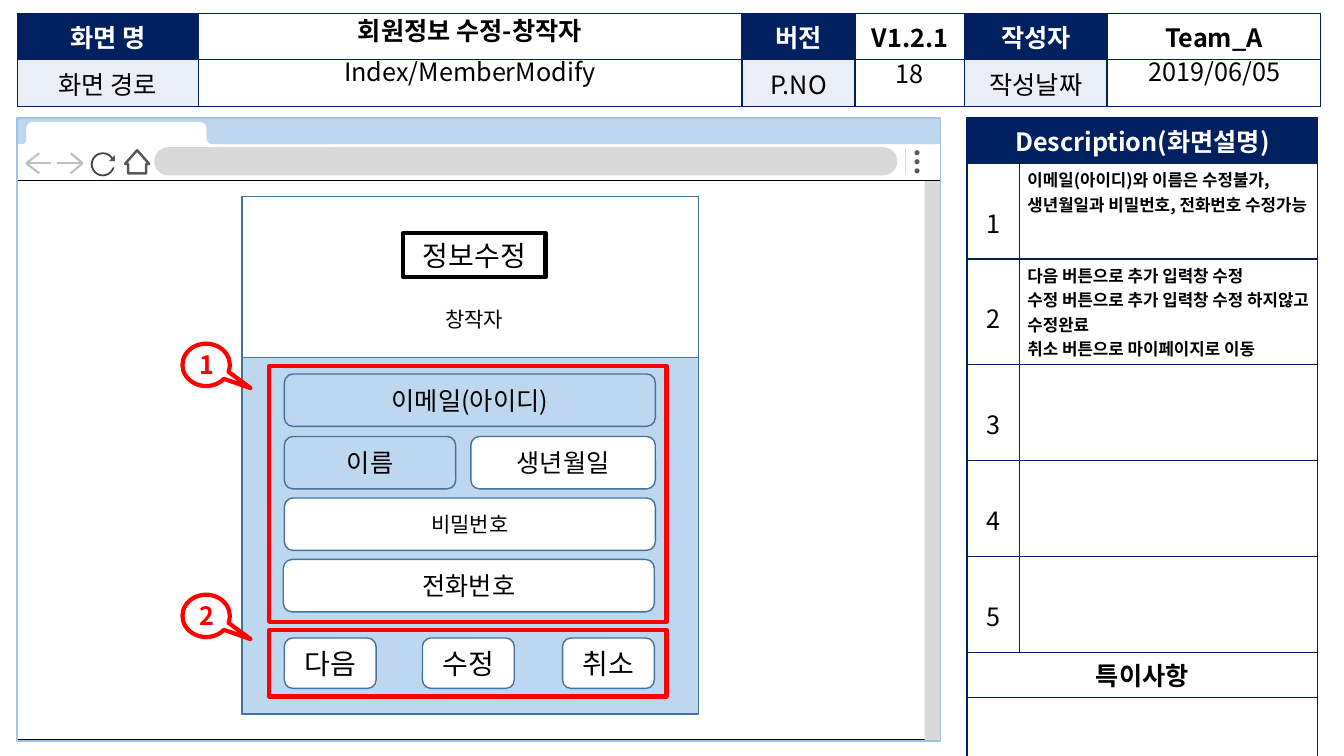
"""Builds a screen-design slide for the creator's member information edit page."""
import lxml.etree
import pptx
import pptx.dml.color
import pptx.enum.shapes
import pptx.enum.text
import pptx.oxml.ns
import pptx.util

Inches = pptx.util.Inches
Pt = pptx.util.Pt
Kind = pptx.enum.shapes.MSO_SHAPE
Anchor = pptx.enum.text.MSO_ANCHOR
Align = pptx.enum.text.PP_ALIGN
qn = pptx.oxml.ns.qn
FONT = "Noto Sans CJK KR"
NAVY, SKY, STEEL, RED = "002060", "BDD7EE", "43739E", "FF0000"
WHITE, BLACK, GREY, DARK = "FFFFFF", "000000", "D9D9D9", "595959"


def paint(fill, color):
    if color is None:
        fill.background()
    else:
        fill.solid()
        fill.fore_color.rgb = pptx.dml.color.RGBColor.from_string(color)


def write(frame, text, size=18, color=BLACK, bold=False, align=Align.CENTER, spacing=None):
    frame.word_wrap = True
    for index, sentence in enumerate(text.split("\n")):
        paragraph = frame.add_paragraph() if index else frame.paragraphs[0]
        paragraph.alignment = align
        paragraph.line_spacing = spacing
        run = paragraph.add_run()
        run.text = sentence
        run.font.size, run.font.bold, run.font.name = Pt(size), bold, FONT
        paint(run.font.fill, color)
        lxml.etree.SubElement(run.font._element, qn("a:ea")).set("typeface", FONT)


deck = pptx.Presentation()
deck.slide_width, deck.slide_height = Inches(13.33), Inches(7.5)
slide = deck.slides.add_slide(deck.slide_layouts[6])
shapes = slide.shapes

browser = [
    (Kind.RECTANGLE, (0.16, 1.78, 9.16, 5.56), WHITE, BLACK, 0.5, []),
    (Kind.RECTANGLE, (9.17, 1.79, 0.16, 5.55), GREY, None, 0, []),
    (Kind.RECTANGLE, (0.17, 1.42, 9.16, 0.37), WHITE, BLACK, 0.5, []),
    (Kind.ROUNDED_RECTANGLE, (1.53, 1.46, 7.37, 0.28), GREY, None, 0, [0.5]),
    (Kind.RECTANGLE, (0.17, 1.17, 9.16, 0.26), SKY, None, 0, []),
    (Kind.OVAL, (0.91, 1.52, 0.22, 0.22), None, "404040", 1.25, []),
    (Kind.RECTANGLE, (1.09, 1.58, 0.08, 0.08), WHITE, None, 0, []),
    (Kind.ISOSCELES_TRIANGLE, (1.08, 1.54, 0.06, 0.06), DARK, None, 0, [1]),
    (Kind.DOWN_ARROW, (1.24, 1.49, 0.24, 0.23), WHITE, DARK, 1.75, [0.75, 0.59]),
    (Kind.ROUNDED_RECTANGLE, (0.26, 1.21, 1.79, 0.23), WHITE, None, 0, [0.28]),
    (Kind.ROUNDED_RECTANGLE, (1.88, 1.3, 0.34, 0.15), WHITE, None, 0, [0.17]),
    (Kind.ROUNDED_RECTANGLE, (2.05, 1.23, 1.27, 0.2), SKY, None, 0, [0.28]),
    (Kind.ROUNDED_RECTANGLE, (0.21, 1.3, 0.13, 0.15), WHITE, None, 0, [0.17]),
    (Kind.ROUNDED_RECTANGLE, (0.17, 1.23, 0.09, 0.2), SKY, None, 0, [0.46]),
    (Kind.RECTANGLE, (0.17, 1.17, 9.16, 6.18), None, "9DC3E6", 1, []),
]
for dot in range(3):
    browser.append((Kind.OVAL, (9.07, 1.49 + 0.09 * dot, 0.05, 0.05), DARK, None, 0, []))

form = [
    (Kind.RECTANGLE, (2.4, 1.95, 4.53, 5.14), None, STEEL, 1, []),
    (Kind.RECTANGLE, (2.4, 3.55, 4.53, 3.53), SKY, STEEL, 1, []),
    (Kind.RECTANGLE, (4, 2.31, 1.41, 0.44), None, BLACK, 3, [], "정보수정", 20),
]
fields = [
    ("이메일(아이디)", 2.82, 3.71, 3.68, None, 18),
    ("이름", 2.82, 4.33, 1.7, None, 18),
    ("생년월일", 4.67, 4.33, 1.83, WHITE, 18),
    ("비밀번호", 2.82, 4.94, 3.68, WHITE, 15),
    ("전화번호", 2.81, 5.55, 3.68, WHITE, 18),
]
for label, left, top, width, fill, size in fields:
    form.append((Kind.ROUNDED_RECTANGLE, (left, top, width, 0.52), fill, STEEL, 1, [], label, size))
for label, left in (("다음", 2.82), ("수정", 4.19), ("취소", 5.58)):
    form.append((Kind.ROUNDED_RECTANGLE, (left, 6.33, 0.91, 0.5), WHITE, STEEL, 1, [], label, 20))
for number, frame_top, frame_height, callout_top in (("1", 3.63, 2.54, 3.41), ("2", 6.25, 0.66, 5.9)):
    form.append((Kind.RECTANGLE, (2.67, frame_top, 3.94, frame_height), None, RED, 3, []))
    form.append((Kind.OVAL_CALLOUT, (1.81, callout_top, 0.47, 0.42), None, RED, 3,
                 [0.94, 0.55], number, 18))

for kind, place, fill, line, weight, adjustments, *label in browser + form:
    part = shapes.add_shape(kind, *map(Inches, place))
    part.shadow.inherit = False
    paint(part.fill, fill)
    paint(part.line.fill, line)
    if line:
        part.line.width = Pt(weight)
    for index, adjustment in enumerate(adjustments):
        part.adjustments[index] = adjustment
    if kind == Kind.DOWN_ARROW:
        part.rotation = 180
    if label:
        marker = kind == Kind.OVAL_CALLOUT
        part.text_frame.vertical_anchor = Anchor.MIDDLE
        write(part.text_frame, *label, color=RED if marker else BLACK, bold=marker)

strokes = [(8.98, 1.48, 8.98, 1.73, GREY, 1)]
for tip, tail, barb in ((0.26, 0.51, 0.39), (0.82, 0.57, 0.7)):
    for end_x, end_y in ((tail, 1.62), (barb, 1.52), (barb, 1.72)):
        strokes.append((tip, 1.62, end_x, end_y, "BFBFBF", 1.5))
for *ends, color, weight in strokes:
    stroke = shapes.add_connector(pptx.enum.shapes.MSO_CONNECTOR.STRAIGHT, *map(Inches, ends))
    paint(stroke.line.fill, color)
    stroke.line.width = Pt(weight)
    lxml.etree.SubElement(stroke._element.spPr, qn("a:effectLst"))

header = shapes.add_table(2, 6, Inches(0.17), Inches(0.13), Inches(12.93), Inches(0.92)).table
header_rows = [
    ["화면 명", "", "버전", "V1.2.1", "작성자", "Team_A"],
    ["화면 경로", "", "P.NO", "", "작성날짜", ""],
]
description = shapes.add_table(8, 2, Inches(9.59), Inches(1.17), Inches(3.48), Inches(6.38)).table
notes = [
    "이메일(아이디)와 이름은 수정불가, 생년월일과 비밀번호, 전화번호 수정가능",
    "다음 버튼으로 추가 입력창 수정\n수정 버튼으로 추가 입력창 수정 하지않고 수정완료\n취소 버튼으로 마이페이지로 이동",
]
for table, widths, heights in (
    (header, [1.8, 5.39, 1.12, 1.09, 1.41, 2.12], [0.46, 0.46]),
    (description, [0.52, 2.96], [0.45, 0.95, 1.05, 0.95, 0.95, 0.95, 0.45, 0.67]),
):
    table.first_row = table.horz_banding = False
    for column, width in zip(table.columns, widths):
        column.width = Inches(width)
    for row, height in zip(table.rows, heights):
        row.height = Inches(height)
    for cell in table.iter_cells():
        paint(cell.fill, None)
        for index, side in enumerate(("a:lnL", "a:lnR", "a:lnT", "a:lnB")):
            properties = cell._tc.get_or_add_tcPr()
            border = properties.makeelement(qn(side), {"w": str(Pt(1))})
            solid = lxml.etree.SubElement(border, qn("a:solidFill"))
            lxml.etree.SubElement(solid, qn("a:srgbClr")).set("val", NAVY)
            properties.insert(index, border)

for row, labels in enumerate(header_rows):
    for column, label in enumerate(labels):
        cell = header.cell(row, column)
        heading = column % 2 == 0
        paint(cell.fill, (NAVY, "EAEFF7")[row] if heading else WHITE)
        cell.vertical_anchor = Anchor.MIDDLE
        if label:
            write(cell.text_frame, label, color=WHITE if heading and row == 0 else BLACK, bold=row == 0)

for cell in description.iter_cells():
    cell.margin_left = cell.margin_right = Inches(0.08)
    cell.margin_top = cell.margin_bottom = Inches(0.04)
for row in (0, 6, 7):
    description.cell(row, 0).merge(description.cell(row, 1))
for row, title, color in ((0, "Description(화면설명)", WHITE), (6, "특이사항", BLACK)):
    cell = description.cell(row, 0)
    cell.vertical_anchor = Anchor.MIDDLE
    write(cell.text_frame, title, color=color, bold=True)
paint(description.cell(0, 0).fill, NAVY)
for number in range(1, 6):
    write(description.cell(number, 0).text_frame, str(number), spacing=2.0)
for number, note in enumerate(notes, 1):
    write(description.cell(number, 1).text_frame, note, size=12, bold=True, align=Align.LEFT)

captions = [
    ("회원정보 수정-창작자", (1.97, 0.14, 5.38, 0.38), Anchor.TOP, 18, True, 0.9),
    ("Index/MemberModify", (1.97, 0.54, 5.38, 0.38), Anchor.TOP, 18, False, 0.9),
    ("2019/06/05", (10.99, 0.54, 2.11, 0.38), Anchor.TOP, 18, False, 0.9),
    ("18", (8.48, 0.54, 1.08, 0.38), Anchor.MIDDLE, 18, False, None),
    ("창작자", (4, 2.99, 1.41, 0.35), Anchor.MIDDLE, 15, False, None),
]
for text, place, anchor, size, bold, spacing in captions:
    caption = shapes.add_textbox(*map(Inches, place))
    caption.text_frame.vertical_anchor = anchor
    write(caption.text_frame, text, size=size, bold=bold, spacing=spacing)

deck.save("out.pptx")
